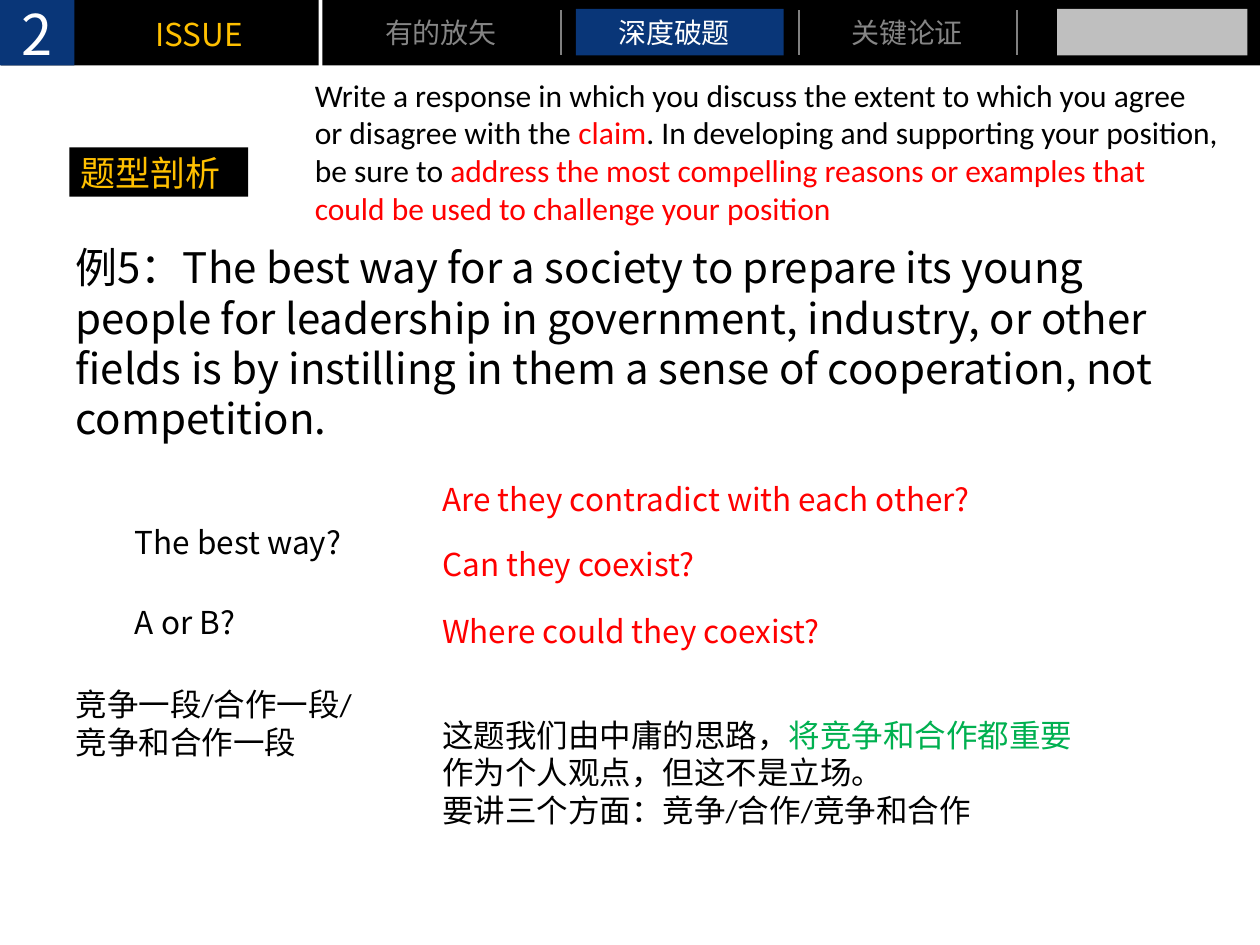
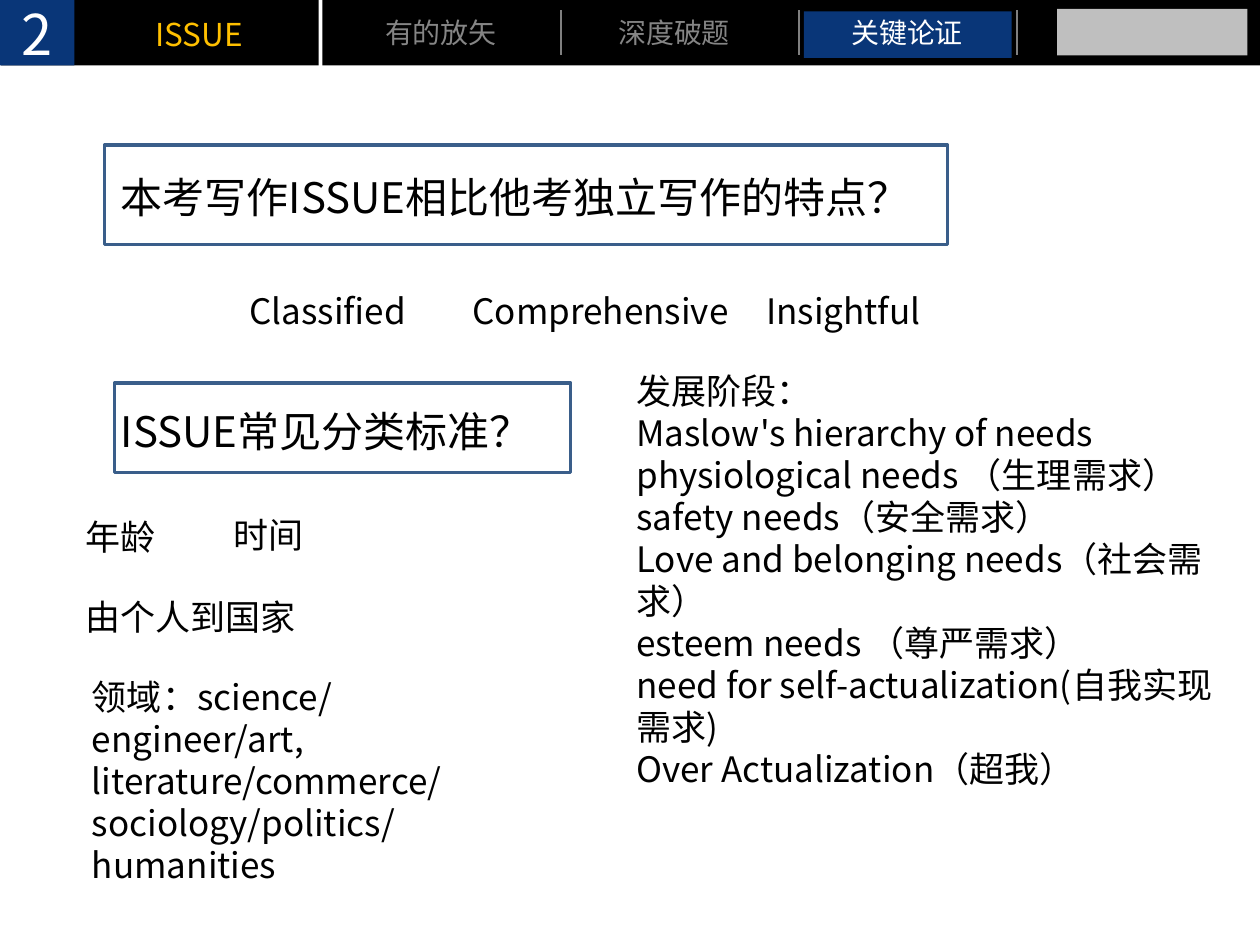
from dataclasses import dataclass

from lxml import etree
from pptx import Presentation
from pptx.dml.color import RGBColor
from pptx.enum import shapes, text
from pptx.oxml.ns import qn
from pptx.util import Emu, Pt

PX = 9144  # one px is a hundredth of an inch
INSET = 5


@dataclass(frozen=True)
class Theme:
    black: str = "000000"
    white: str = "FFFFFF"
    navy: str = "093678"
    gold: str = "FFC000"
    red: str = "FF0000"
    green: str = "00B050"
    grey: str = "808080"
    silver: str = "BFBFBF"
    frame: str = "3A5E8A"
    heading_font: str = "Noto Sans CJK SC"
    body_font: str = "Calibri"
    number: int = 32
    question: int = 24
    large: int = 20
    body: int = 18
    tab: int = 16


THEME = Theme()


@dataclass(frozen=True)
class Box:
    left: int
    top: int
    width: int
    height: int

    def emu(self) -> list[Emu]:
        return [Emu(v * PX) for v in (self.left, self.top, self.width, self.height)]


@dataclass(frozen=True)
class Run:
    words: str
    color: str = THEME.black


@dataclass(frozen=True)
class Label:
    box: Box
    paragraphs: tuple  # each one is a string or a tuple of runs
    size: int = THEME.body
    color: str = THEME.black
    font: str = THEME.heading_font
    centered: bool = False
    middle: bool = False
    wrap: bool = True
    side_inset: int = INSET


@dataclass(frozen=True)
class Tab:
    name: str
    text_box: Box
    left: int
    highlight_top: int
    cover_top: int


TABS = (
    Tab("有的放矢", Box(275, 7, 150, 41), 264, 7, 5),
    Tab("深度破题", Box(476, 7, 118, 41), 457, 7, 7),
    Tab("关键论证", Box(665, 7, 110, 41), 638, 9, 5),
)
TAB_SIZE = (165, 37)
DIVIDERS = (445, 634, 807)


def set_all(target, values: dict) -> None:
    for name, value in values.items():
        setattr(target, name, value)


# Drawing helpers
def draw_rectangle(slide, box: Box, fill: str | None = None,
                   line: str | None = None, opacity: int = 100) -> None:
    shape = slide.shapes.add_shape(shapes.MSO_SHAPE.RECTANGLE, *box.emu())
    shape.shadow.inherit = False
    if fill:
        shape.fill.solid()
        shape.fill.fore_color.rgb = RGBColor.from_string(fill)
    else:
        shape.fill.background()
    if opacity < 100:
        color = shape.fill._xPr.find(qn("a:solidFill"))[0]
        etree.SubElement(color, qn("a:alpha"), val=str(opacity * 1000))
    if line:
        shape.line.color.rgb = RGBColor.from_string(line)
        shape.line.width = Pt(2)
    else:
        shape.line.fill.background()


def draw_divider(slide, left: int) -> None:
    start, end = Emu(8 * PX), Emu(44 * PX)
    line = slide.shapes.add_connector(
        shapes.MSO_CONNECTOR.STRAIGHT, Emu(left * PX), start, Emu(left * PX), end)
    line.line.color.rgb = RGBColor.from_string(THEME.grey)
    line.line.width = Pt(1)
    etree.SubElement(line._element.spPr, qn("a:effectLst"))


def draw_label(slide, label: Label) -> None:
    frame = slide.shapes.add_textbox(*label.box.emu()).text_frame
    side, edge = Emu(label.side_inset * PX), Emu(INSET * PX)
    anchor = text.MSO_ANCHOR.MIDDLE if label.middle else text.MSO_ANCHOR.TOP
    set_all(frame, {
        "margin_left": side, "margin_right": side,
        "margin_top": edge, "margin_bottom": edge,
        "word_wrap": label.wrap, "vertical_anchor": anchor,
        "auto_size": text.MSO_AUTO_SIZE.SHAPE_TO_FIT_TEXT,
    })
    for index, content in enumerate(label.paragraphs):
        paragraph = frame.add_paragraph() if index else frame.paragraphs[0]
        paragraph.alignment = text.PP_ALIGN.CENTER if label.centered else text.PP_ALIGN.LEFT
        runs = (Run(content, label.color),) if isinstance(content, str) else content
        for part in runs:
            run = paragraph.add_run()
            run.text = part.words
            set_all(run.font, {"name": label.font, "size": Pt(label.size)})
            run.font.color.rgb = RGBColor.from_string(part.color)


# Navigation band shared by both slides
def draw_header(slide, active: str) -> None:
    draw_rectangle(slide, Box(256, 0, 744, 52), THEME.black)
    for tab in TABS:
        is_active = tab.name == active
        if is_active:
            draw_rectangle(slide, Box(tab.left, tab.highlight_top, *TAB_SIZE), THEME.navy)
        draw_label(slide, Label(tab.text_box, (tab.name,), THEME.tab,
                                THEME.white, centered=True))
        if not is_active:
            draw_rectangle(slide, Box(tab.left, tab.cover_top, *TAB_SIZE),
                           THEME.black, opacity=48)
    draw_rectangle(slide, Box(1, 0, 252, 52), THEME.black)
    for left in DIVIDERS:
        draw_divider(slide, left)
    draw_rectangle(slide, Box(839, 7, 151, 37), THEME.silver)
    draw_label(slide, Label(Box(83, 7, 150, 41), ("ISSUE",),
                            color=THEME.gold, centered=True))
    draw_rectangle(slide, Box(0, 0, 59, 52), THEME.navy)
    draw_label(slide, Label(Box(0, -5, 59, 63), ("2",), THEME.number, THEME.white,
                            centered=True, middle=True))


# Slide 1: analysis of a prompt
ANALYSIS_LABELS = (
    Label(Box(59, 115, 123, 49), ("题型剖析",), THEME.large, THEME.gold, wrap=False),
    Label(Box(240, 55, 739, 131), ((
        Run("Write a response in which you discuss the extent to which you agree "
            "or disagree with the "),
        Run("claim", THEME.red),
        Run(". In developing and supporting your position, be sure to "),
        Run("address the most compelling reasons or examples that could be used "
            "to challenge your position", THEME.red),
    ),), font=THEME.body_font, side_inset=10),
    Label(Box(55, 187, 890, 207), (
        "例5：The best way for a society to prepare its young people for leadership "
        "in government, industry, or other fields is by instilling in them a sense "
        "of cooperation, not competition.",), THEME.question),
    Label(Box(102, 410, 331, 41), ("The best way?",)),
    Label(Box(102, 474, 331, 41), ("A or B?",)),
    Label(Box(346, 376, 512, 41), ("Are they contradict with each other?",), color=THEME.red),
    Label(Box(346, 428, 512, 41), ("Can they coexist?",), color=THEME.red),
    Label(Box(346, 481, 512, 41), ("Where could they coexist?",), color=THEME.red),
    Label(Box(55, 539, 237, 101), ("竞争一段/合作一段/", "竞争和合作一段"),
          font=THEME.body_font),
    Label(Box(346, 563, 529, 101), (
        (Run("这题我们由中庸的思路，"), Run("将竞争和合作都重要", THEME.green),
         Run("作为个人观点，但这不是立场。")),
        "要讲三个方面：竞争/合作/竞争和合作"), font=THEME.body_font),
)

# Slide 2: key arguments
ARGUMENT_FRAMES = (Box(83, 115, 669, 79), Box(91, 304, 362, 71))
ARGUMENT_LABELS = (
    Label(Box(91, 131, 724, 56), ("本考写作ISSUE相比他考独立写作的特点？",), THEME.question),
    Label(Box(91, 317, 724, 56), ("ISSUE常见分类标准？",), THEME.question),
    Label(Box(193, 225, 189, 43), ("Classified",), THEME.large),
    Label(Box(370, 225, 236, 43), ("Comprehensive",), THEME.large),
    Label(Box(603, 225, 236, 43), ("Insightful",), THEME.large),
    Label(Box(63, 404, 94, 49), ("年龄",), THEME.large),
    Label(Box(180, 403, 94, 49), ("时间",), THEME.large),
    Label(Box(63, 468, 236, 49), ("由个人到国家",), THEME.large),
    Label(Box(68, 531, 332, 178), (
        "领域：science/engineer/art, literature/commerce/",
        "sociology/politics/", "humanities"), THEME.large),
    Label(Box(500, 288, 479, 347), (
        "发展阶段：",
        "Maslow's hierarchy of needs",
        "physiological needs （生理需求）",
        "safety needs（安全需求）",
        "Love and belonging needs（社会需求）",
        "esteem needs （尊严需求）",
        "need for self-actualization(自我实现需求)",
        "Over Actualization（超我）"), THEME.large),
)


def add_blank_slide(presentation, active: str):
    slide = presentation.slides.add_slide(presentation.slide_layouts[6])
    draw_header(slide, active)
    return slide


def main() -> None:
    presentation = Presentation()
    set_all(presentation, {"slide_width": Emu(1000 * PX), "slide_height": Emu(750 * PX)})

    analysis = add_blank_slide(presentation, "深度破题")
    draw_rectangle(analysis, Box(55, 117, 142, 39), THEME.black)
    for label in ANALYSIS_LABELS:
        draw_label(analysis, label)

    arguments = add_blank_slide(presentation, "关键论证")
    for box in ARGUMENT_FRAMES:
        draw_rectangle(arguments, box, line=THEME.frame)
    for label in ARGUMENT_LABELS:
        draw_label(arguments, label)

    presentation.save("out.pptx")


if __name__ == "__main__":
    main()
